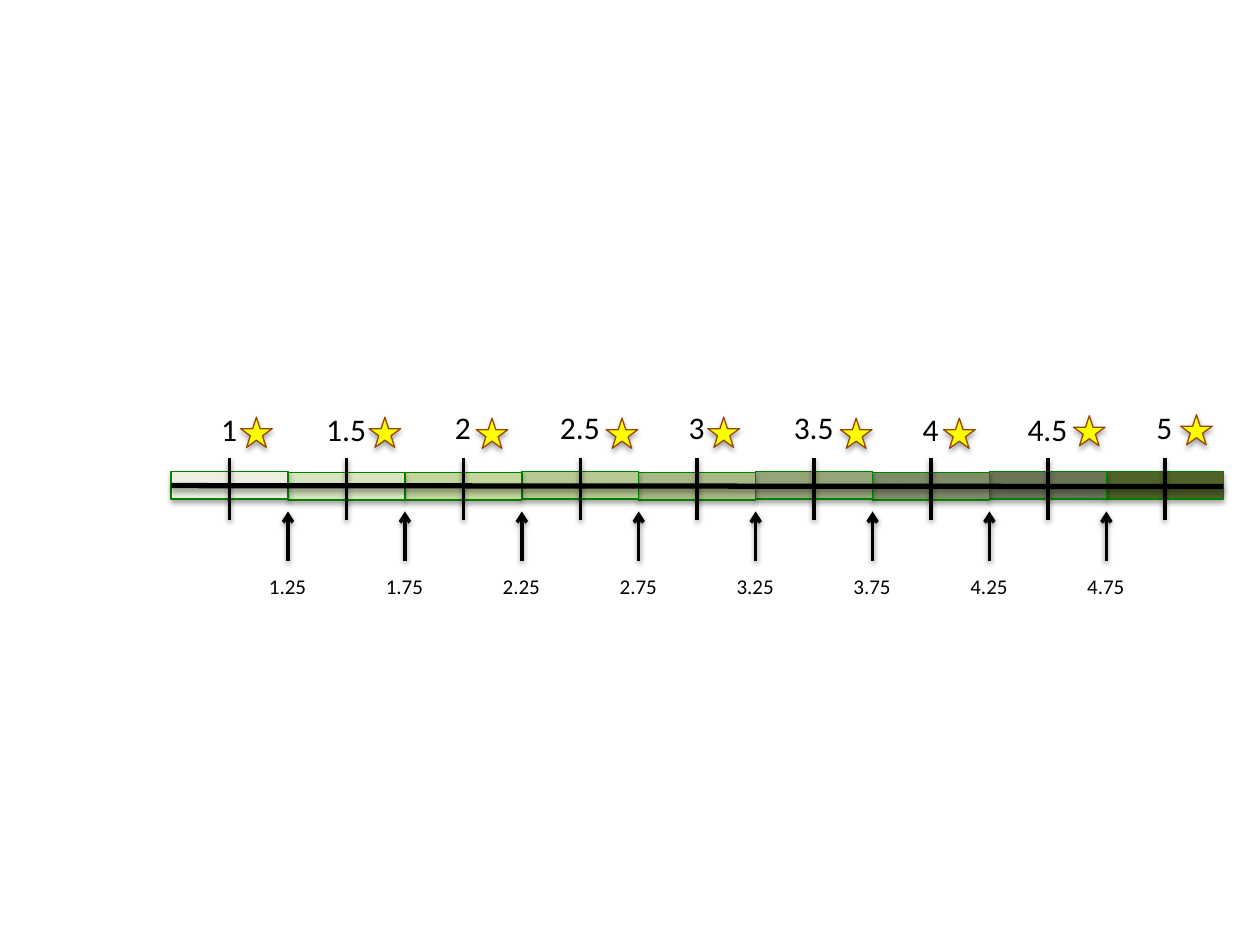
"""Build a slide with a star rating scale and its rounding thresholds."""
from dataclasses import dataclass

from lxml import etree
from pptx import Presentation
from pptx import util as u
from pptx.dml.color import RGBColor
from pptx.enum import shapes, text
from pptx.oxml import ns

# rating, band colour, band top, label top, star left, star top
RATINGS = [
    ("1", "EBF1DE", 9.5, 8.15, 4.85, 8.41),
    ("1.5", "D7E4BD", 9.52, 8.15, 7.44, 8.41),
    ("2", "C3D69B", 9.52, 8.1, 9.6, 8.43),
    ("2.5", "B7C992", 9.5, 8.1, 12.22, 8.43),
    ("3", "A8B887", 9.52, 8.1, 14.27, 8.41),
    ("3.5", "95A479", 9.5, 8.1, 16.94, 8.43),
    ("4", "7F8C68", 9.52, 8.15, 19.02, 8.43),
    ("4.5", "6A7557", 9.5, 8.15, 21.64, 8.38),
    ("5", "4F6228", 9.5, 8.1, 23.8, 8.36),
]
THRESHOLDS = ["1.25", "1.75", "2.25", "2.75", "3.25", "3.75", "4.25", "4.75"]


@dataclass(frozen=True)
class Theme:
    font: str = "Calibri"
    rating_size: int = 18
    threshold_size: int = 12
    ink: str = "000000"
    band_edge: str = "008000"
    star: str = "FFFF00"
    star_edge: str = "984807"
    edge_width: float = 0.75
    axis_width: float = 3
    mark_width: float = 2


THEME = Theme()
SCALE_LEFT, SCALE_RIGHT = 3.45, 24.66
BAND_WIDTH = (SCALE_RIGHT - SCALE_LEFT) / len(RATINGS)
BAND_HEIGHT = 0.56
AXIS_Y = 9.79
TICK_TOP, TICK_BOTTOM = 9.23, 10.48
ARROW_TOP, ARROW_BOTTOM = 10.31, 11.3
THRESHOLD_TOP = 11.43
STAR_WIDTH, STAR_HEIGHT = 0.64, 0.61


def cast_shadow(part, opacity, distance):
    properties = part._element.spPr
    effects = properties.find(ns.qn("a:effectLst"))
    if effects is None:
        effects = etree.SubElement(properties, ns.qn("a:effectLst"))
    shadow = etree.SubElement(
        effects, ns.qn("a:outerShdw"), blurRad=str(u.Pt(3.1)),
        dist=str(u.Pt(distance)), dir="5400000", rotWithShape="0")
    colour = etree.SubElement(shadow, ns.qn("a:srgbClr"), val=THEME.ink)
    etree.SubElement(colour, ns.qn("a:alpha"), val=str(opacity * 1000))


def add_figure(kind, left, top, width, height, fill, edge):
    figure = slide.shapes.add_shape(
        kind, u.Cm(left), u.Cm(top), u.Cm(width), u.Cm(height))
    figure.fill.solid()
    figure.fill.fore_color.rgb = RGBColor.from_string(fill)
    figure.line.color.rgb = RGBColor.from_string(edge)
    figure.line.width = u.Pt(THEME.edge_width)
    figure.shadow.inherit = False
    cast_shadow(figure, 35, 1.8)


def add_rule(x1, y1, x2, y2, width, opacity=38, distance=1.6, arrow=False):
    rule = slide.shapes.add_connector(
        shapes.MSO_CONNECTOR.STRAIGHT, u.Cm(x1), u.Cm(y1), u.Cm(x2), u.Cm(y2))
    rule.line.color.rgb = RGBColor.from_string(THEME.ink)
    rule.line.width = u.Pt(width)
    if arrow:
        etree.SubElement(rule.line._get_or_add_ln(), ns.qn("a:tailEnd"), type="arrow")
    cast_shadow(rule, opacity, distance)


def add_label(wording, *, centre, top, width, height, size):
    label = slide.shapes.add_textbox(
        u.Cm(centre - width / 2), u.Cm(top), u.Cm(width), u.Cm(height))
    frame = label.text_frame
    frame.word_wrap = False
    frame.auto_size = text.MSO_AUTO_SIZE.SHAPE_TO_FIT_TEXT
    run = frame.paragraphs[0].add_run()
    run.text = wording
    run.font.name = THEME.font
    run.font.size = u.Pt(size)
    run.font.color.rgb = RGBColor.from_string(THEME.ink)


deck = Presentation()
deck.slide_width, deck.slide_height = u.Cm(25.4), u.Cm(19.05)
slide = deck.slides.add_slide(deck.slide_layouts[6])

band_lefts = [SCALE_LEFT + i * BAND_WIDTH for i in range(len(RATINGS))]
ticks = [left + BAND_WIDTH / 2 for left in band_lefts]

for left, (_, colour, top, *_) in reversed(list(zip(band_lefts, RATINGS))):
    add_figure(shapes.MSO_SHAPE.RECTANGLE, left, top, BAND_WIDTH, BAND_HEIGHT,
               colour, THEME.band_edge)

add_rule(SCALE_LEFT, AXIS_Y, SCALE_RIGHT, AXIS_Y + 0.02, THEME.axis_width, 35, 1.8)
for tick in ticks:
    add_rule(tick, TICK_TOP, tick, TICK_BOTTOM, THEME.mark_width)

for tick, (rating, _, _, top, _, _) in zip(ticks, RATINGS):
    add_label(rating, centre=tick, top=top, width=1.32 if "." in rating else 0.84,
              height=1.02, size=THEME.rating_size)

for border, threshold in zip(band_lefts[1:], THRESHOLDS):
    add_rule(border, ARROW_BOTTOM, border, ARROW_TOP, THEME.mark_width, arrow=True)
    add_label(threshold, centre=border, top=THRESHOLD_TOP, width=1.27,
              height=0.76, size=THEME.threshold_size)

for *_, left, top in RATINGS:
    add_figure(shapes.MSO_SHAPE.STAR_5_POINT, left, top, STAR_WIDTH, STAR_HEIGHT,
               THEME.star, THEME.star_edge)

deck.save("out.pptx")
